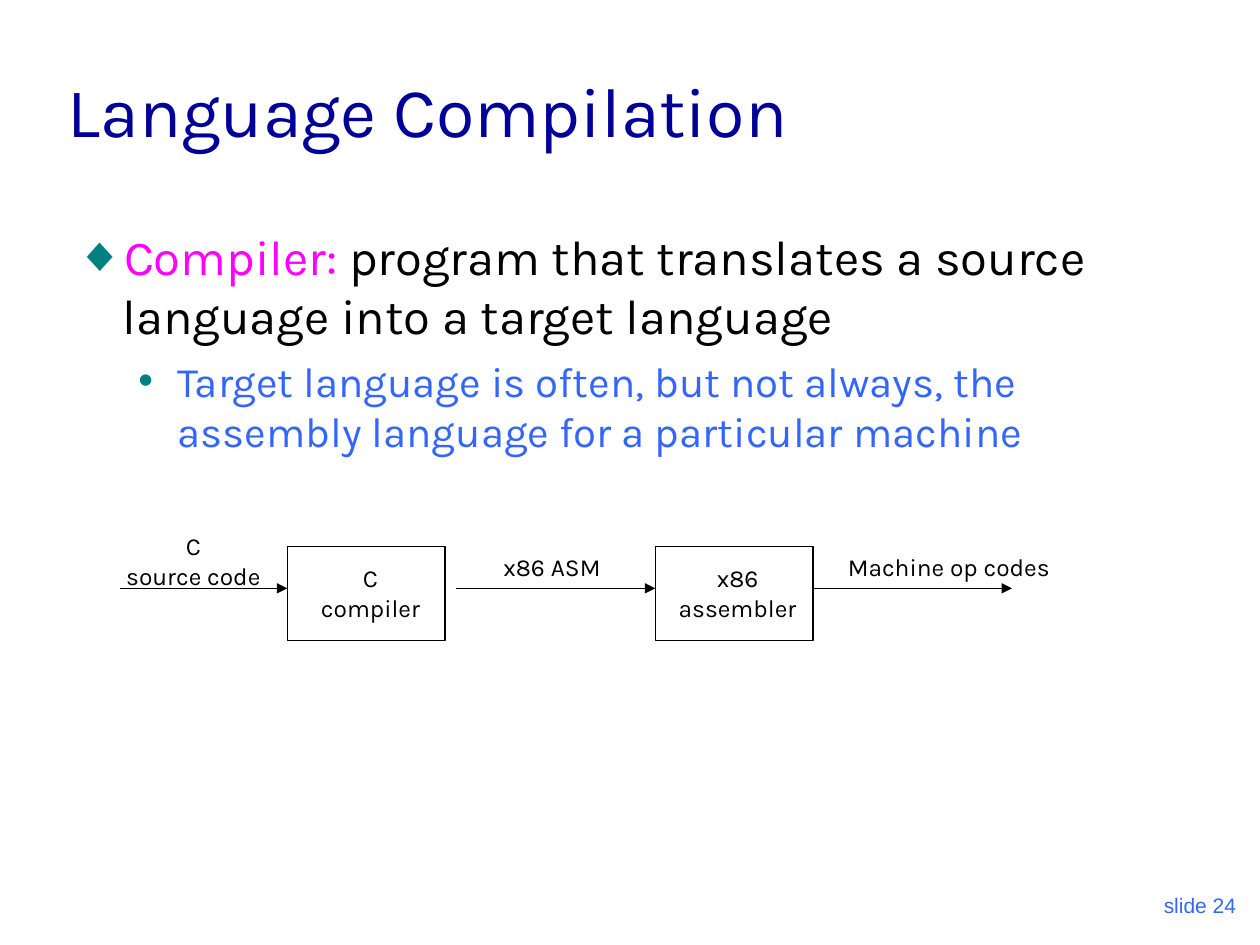
from lxml import etree
from pptx import Presentation
from pptx.dml.color import RGBColor
from pptx.enum.shapes import MSO_CONNECTOR, MSO_SHAPE
from pptx.enum.text import MSO_ANCHOR, MSO_AUTO_SIZE, PP_ALIGN
from pptx.oxml.ns import qn
from pptx.util import Cm, Pt

BLACK = RGBColor(0x00, 0x00, 0x00)
NAVY = RGBColor(0x00, 0x00, 0x99)
BLUE = RGBColor(0x33, 0x66, 0xFF)
MAGENTA = RGBColor(0xFF, 0x00, 0xFF)
TEAL = RGBColor(0x00, 0x80, 0x80)

LEFT, CENTER, RIGHT = PP_ALIGN.LEFT, PP_ALIGN.CENTER, PP_ALIGN.RIGHT
TOP, BOTTOM = MSO_ANCHOR.TOP, MSO_ANCHOR.BOTTOM
FIT, FIXED = MSO_AUTO_SIZE.SHAPE_TO_FIT_TEXT, MSO_AUTO_SIZE.NONE
RECTANGLE, STRAIGHT = MSO_SHAPE.RECTANGLE, MSO_CONNECTOR.STRAIGHT

STAGE_WIDTH, STAGE_HEIGHT, STAGE_TOP = 3.18, 1.9, 0.43
FLOW_Y = 1.27


def write_text(paragraph, text, size=14, color=BLACK, font="Karla", align=LEFT):
    paragraph.alignment = align
    run = paragraph.add_run()
    run.text = text
    run.font.size = Pt(size)
    run.font.name = font
    run.font.color.rgb = color


def add_frame(slide, box, anchor=TOP, wrap=True, auto_size=FIXED):
    frame = slide.shapes.add_textbox(*(Cm(length) for length in box)).text_frame
    frame.word_wrap = wrap
    frame.auto_size = auto_size
    frame.vertical_anchor = anchor
    return frame


def set_bullet(paragraph, symbol, margin, hanging):
    properties = paragraph._p.get_or_add_pPr()
    properties.set("marL", str(Cm(margin)))
    properties.set("indent", str(-Cm(hanging)))
    color = etree.SubElement(properties, qn("a:buClr"))
    etree.SubElement(color, qn("a:srgbClr"), val=str(TEAL))
    etree.SubElement(properties, qn("a:buFont"), typeface="Arial")
    etree.SubElement(properties, qn("a:buChar"), char=symbol)


def add_title(slide, box):
    frame = add_frame(slide, box, anchor=BOTTOM)
    write_text(frame.paragraphs[0], "Language Compilation", size=40, color=NAVY)


def add_definition(slide, box):
    frame = add_frame(slide, box)
    definition = frame.paragraphs[0]
    set_bullet(definition, "◆", 0.95, 0.95)
    write_text(definition, "Compiler:", size=28, color=MAGENTA)
    write_text(definition, " program that translates a source language "
               "into a target language", size=28)
    detail = frame.add_paragraph()
    set_bullet(detail, "•", 2.06, 0.79)
    detail.space_before = Pt(6)
    write_text(detail, "Target language is often, but not always, the assembly "
               "language for a particular machine", size=24, color=BLUE)


def add_pipeline(slide, box):
    left, top = box[:2]

    def add_stage(x):
        stage = slide.shapes.add_shape(
            RECTANGLE, Cm(left + x), Cm(top + STAGE_TOP),
            Cm(STAGE_WIDTH), Cm(STAGE_HEIGHT))
        stage.shadow.inherit = False
        stage.fill.background()
        stage.line.color.rgb = BLACK
        stage.line.width = Pt(0.75)

    def add_flow(start, end):
        y = Cm(top + FLOW_Y)
        flow = slide.shapes.add_connector(
            STRAIGHT, Cm(left + start), y, Cm(left + end), y)
        flow.line.color.rgb = BLACK
        flow.line.width = Pt(0.75)
        etree.SubElement(flow.line._get_or_add_ln(), qn("a:tailEnd"), type="triangle")
        etree.SubElement(flow._element.spPr, qn("a:effectLst"))

    def add_label(lines, center, y, width):
        height = 0.25 + 0.6 * len(lines)
        frame = add_frame(slide, (left + center - width / 2, top + y, width, height),
                          wrap=False, auto_size=FIT)
        for index, line in enumerate(lines):
            paragraph = frame.add_paragraph() if index else frame.paragraphs[0]
            write_text(paragraph, line, align=CENTER)

    compiler_x, assembler_x = 3.57, 10.99
    for x in (compiler_x, assembler_x):
        add_stage(x)
    for start, end in ((0.19, compiler_x), (6.97, assembler_x),
                       (assembler_x + STAGE_WIDTH, 18.18)):
        add_flow(start, end)
    for label in ((["C", "source code"], 1.68, 0, 3.33),
                  (["C", "compiler"], 5.25, 0.64, 2.54),
                  (["x86 ASM"], 8.91, 0.41, 2.49),
                  (["x86", "assembler"], 12.65, 0.64, 2.92),
                  (["Machine op codes"], 16.91, 0.41, 4.67)):
        add_label(*label)


def add_slide_number(slide, box):
    frame = add_frame(slide, box, anchor=BOTTOM)
    write_text(frame.paragraphs[0], "slide 24", size=12, color=BLUE,
               font="Arial", align=RIGHT)


def main():
    presentation = Presentation()
    presentation.slide_width = Cm(25.4)
    presentation.slide_height = Cm(19.05)
    slide = presentation.slides.add_slide(presentation.slide_layouts[6])
    add_slide_number(slide, (19.89, 17.35, 5.28, 1.27))
    add_title(slide, (1.12, 0.64, 21.59, 2.54))
    add_definition(slide, (1.27, 4.45, 22.7, 12.4))
    add_pipeline(slide, (2.22, 10.59, 19.25, 2.34))
    presentation.save("out.pptx")


if __name__ == "__main__":
    main()
